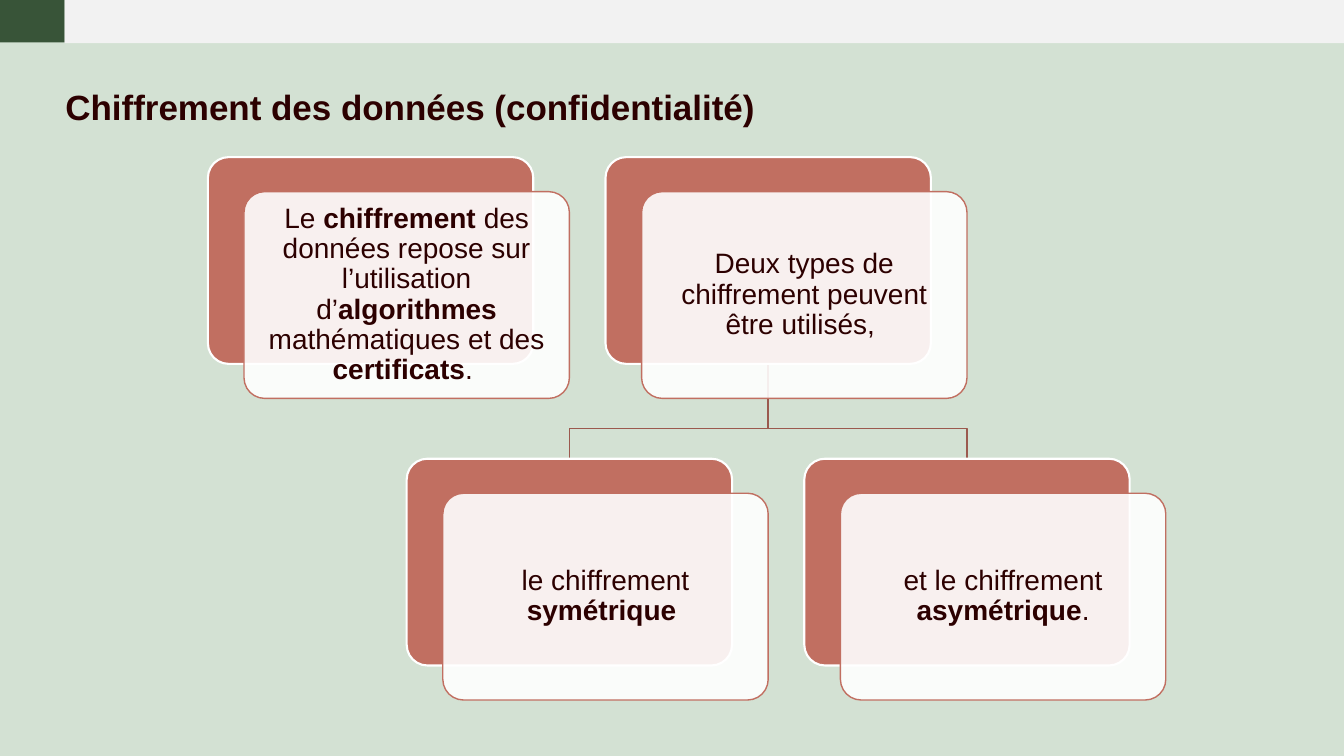
import pptx
import pptx.dml.color
import pptx.enum.shapes
import pptx.enum.text
import pptx.oxml.ns
import pptx.util
from lxml import etree

Cm = pptx.util.Cm
Pt = pptx.util.Pt
SHAPES = pptx.enum.shapes.MSO_SHAPE
ALIGN = pptx.enum.text.PP_ALIGN

INK = "2C0000"
BRICK = "C16F61"
WHITE = "FFFFFF"

LEFT, HALF = 5.24, 5.01
TOP, DROP = 3.96, 7.6
WIDE, HIGH = 8.2, 5.21
SHIFT_X, SHIFT_Y = 0.91, 0.87

CARDS = [
    (0, 0, "Le **chiffrement** des données repose sur l’utilisation "
           "d’**algorithmes** mathématiques et des **certificats**. "),
    (2, 0, "Deux types de chiffrement peuvent être utilisés, "),
    (1, 1, "le chiffrement **symétrique **"),
    (3, 1, "et le chiffrement **asymétrique**."),
]


def color(code):
    return pptx.dml.color.RGBColor.from_string(code)


def spot(col, row):
    return LEFT + HALF * col, TOP + DROP * row


def add_block(slide, kind, x, y, w, h, fill, line=None, weight=1):
    block = slide.shapes.add_shape(kind, Cm(x), Cm(y), Cm(w), Cm(h))
    block.shadow.inherit = False
    block.fill.solid()
    block.fill.fore_color.rgb = color(fill)
    if line:
        block.line.color.rgb = color(line)
        block.line.width = Pt(weight)
    else:
        block.line.fill.background()
    return block


def fade(block, share):
    qn = pptx.oxml.ns.qn
    tint = block._element.spPr.find(qn("a:solidFill")).find(qn("a:srgbClr"))
    etree.SubElement(tint, qn("a:alpha")).set("val", str(share * 1000))


def write(frame, text, size, align, side, edge, bold=False):
    frame.word_wrap = True
    frame.vertical_anchor = pptx.enum.text.MSO_ANCHOR.MIDDLE
    frame.margin_left = frame.margin_right = Cm(side)
    frame.margin_top = frame.margin_bottom = Cm(edge)
    para = frame.paragraphs[0]
    para.alignment = align
    para.line_spacing = 0.9
    for index, part in enumerate(text.split("**")):
        if part:
            run = para.add_run()
            run.text = part
            run.font.name = "Arial"
            run.font.size = Pt(size)
            run.font.bold = bold or index % 2 == 1
            run.font.color.rgb = color(INK)


def add_title(slide, text):
    box = slide.shapes.add_textbox(Cm(1.65), Cm(1.96), Cm(23.95), Cm(1.6))
    write(box.text_frame, text, 25, ALIGN.LEFT, 0, 0.3, bold=True)


def add_branch(slide, start, end):
    x, y = start[0] + WIDE / 2, start[1] + HIGH
    goal, stop = end[0] + WIDE / 2, end[1]
    bend = stop - 0.76
    pen = slide.shapes.build_freeform(Cm(x), Cm(y))
    points = [(x, bend), (goal, bend), (goal, stop)]
    pen.add_line_segments([(Cm(a), Cm(b)) for a, b in points], close=False)
    branch = pen.convert_to_shape()
    branch.shadow.inherit = False
    branch.fill.background()
    branch.line.color.rgb = color("9B594E")
    branch.line.width = Pt(1)


def add_card(slide, x, y, text):
    kind = SHAPES.ROUNDED_RECTANGLE
    back = add_block(slide, kind, x, y, WIDE, HIGH, BRICK, WHITE, 1.5)
    front = add_block(slide, kind, x + SHIFT_X, y + SHIFT_Y, WIDE, HIGH,
                      WHITE, BRICK)
    for block in (back, front):
        block.adjustments[0] = 0.1
    fade(front, 90)
    write(front.text_frame, text, 20, ALIGN.CENTER, 0.2, 0.2)


def main():
    deck = pptx.Presentation()
    deck.slide_width, deck.slide_height = Cm(33.87), Cm(19.05)
    slide = deck.slides.add_slide(deck.slide_layouts[6])
    slide.background.fill.solid()
    slide.background.fill.fore_color.rgb = color("D3E1D3")

    add_block(slide, SHAPES.RECTANGLE, 0, 0, 1.63, 1.07, "385438")
    add_block(slide, SHAPES.RECTANGLE, 1.63, 0, 32.24, 1.09, "F2F2F2")
    add_title(slide, "Chiffrement des données (confidentialité)")
    for col in (3, 1):
        add_branch(slide, spot(2, 0), spot(col, 1))
    for col, row, text in CARDS:
        add_card(slide, *spot(col, row), text)
    deck.save("out.pptx")


if __name__ == "__main__":
    main()
